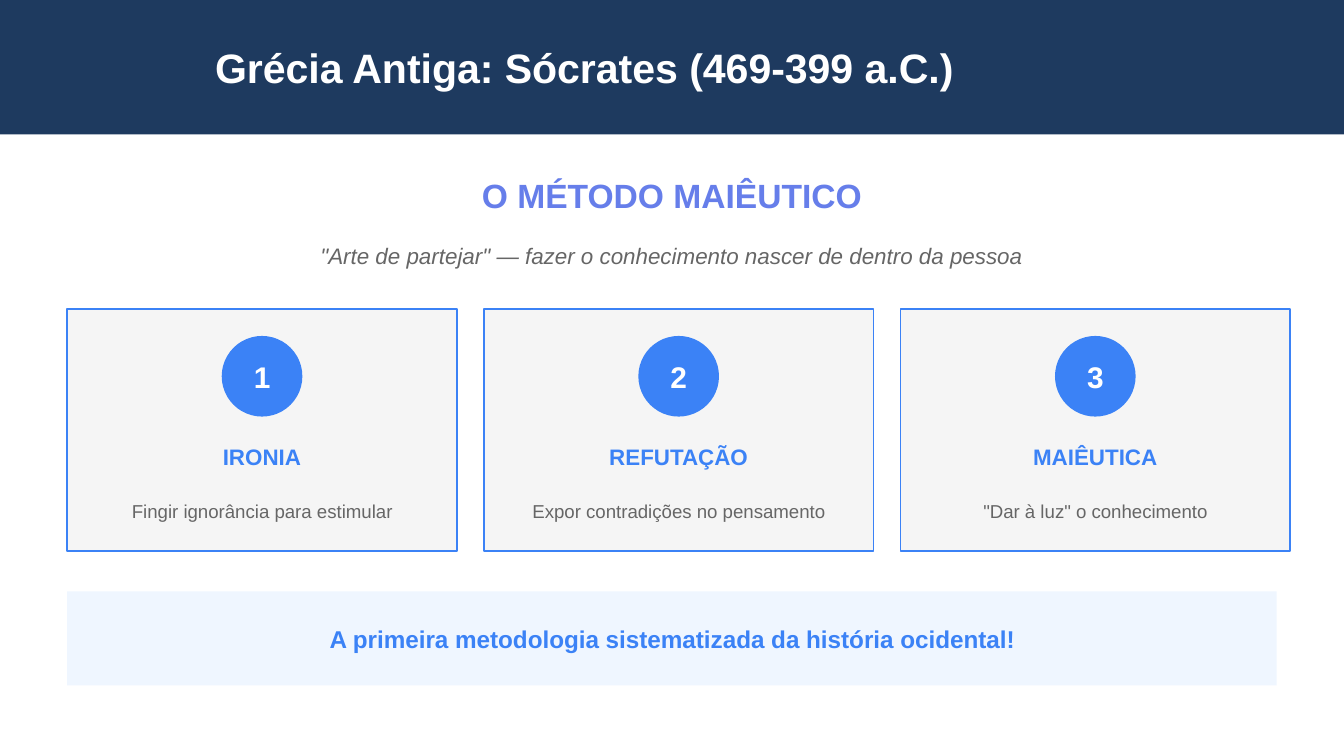
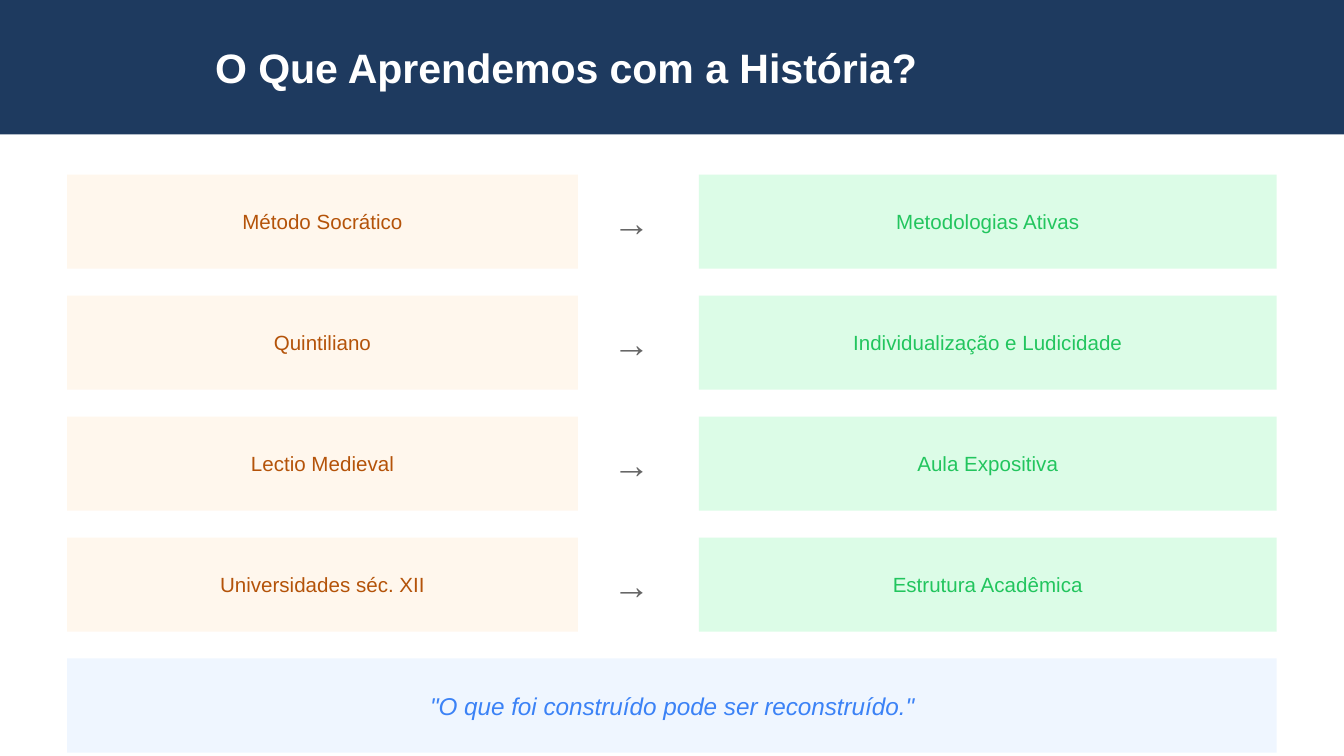
from typing import NamedTuple

from pptx import Presentation
from pptx import util as u
from pptx.dml.color import RGBColor
from pptx.enum import shapes, text

FONT = "Arial"
NAVY = RGBColor(0x1E, 0x3A, 0x5F)
BLUE = RGBColor(0x3B, 0x82, 0xF6)
INDIGO = RGBColor(0x66, 0x7E, 0xEA)
PALE_BLUE = RGBColor(0xEF, 0xF6, 0xFF)
LIGHT_GRAY = RGBColor(0xF5, 0xF5, 0xF5)
GRAY = RGBColor(0x66, 0x66, 0x66)
CREAM = RGBColor(0xFF, 0xF7, 0xED)
BROWN = RGBColor(0xB4, 0x53, 0x09)
MINT = RGBColor(0xDC, 0xFC, 0xE7)
GREEN = RGBColor(0x22, 0xC5, 0x5E)
WHITE = RGBColor(0xFF, 0xFF, 0xFF)

RECTANGLE = shapes.MSO_SHAPE.RECTANGLE
OVAL = shapes.MSO_SHAPE.OVAL
MARGIN = 0.5
CONTENT_WIDTH = 9
BOX_HEIGHT = 0.7
CARD_TOP, CARD_WIDTH, CARD_GAP = 2.3, 2.9, 0.2
ROW_TOP, ROW_STEP = 1.3, 0.9


class Box(NamedTuple):
    """Left, top, width and height in inches."""

    left: float
    top: float
    width: float
    height: float

    def lengths(self) -> list:
        """Return the four values as lengths."""
        return [u.Inches(value) for value in self]


class Step(NamedTuple):
    """One step of the Socratic method."""

    name: str
    description: str


class Lesson(NamedTuple):
    """A historical source and its present-day counterpart."""

    past: str
    present: str


STEPS = [
    Step("IRONIA", "Fingir ignorância para estimular"),
    Step("REFUTAÇÃO", "Expor contradições no pensamento"),
    Step("MAIÊUTICA", '"Dar à luz" o conhecimento'),
]
LESSONS = [
    Lesson("Método Socrático", "Metodologias Ativas"),
    Lesson("Quintiliano", "Individualização e Ludicidade"),
    Lesson("Lectio Medieval", "Aula Expositiva"),
    Lesson("Universidades séc. XII", "Estrutura Acadêmica"),
]


def write(shape, words: str, *, size: float, color: RGBColor, bold: bool = False,
          italic: bool = False, align=text.PP_ALIGN.CENTER) -> None:
    """Put formatted, vertically centred text into a shape."""
    frame = shape.text_frame
    frame.word_wrap = True
    frame.auto_size = text.MSO_AUTO_SIZE.NONE
    frame.vertical_anchor = text.MSO_ANCHOR.MIDDLE
    paragraph = frame.paragraphs[0]
    paragraph.alignment = align
    run = paragraph.add_run()
    run.text = words
    run.font.name = FONT
    run.font.size = u.Pt(size)
    run.font.bold = bold
    run.font.italic = italic
    run.font.color.rgb = color


def add_text(slide, box: Box, words: str, **formatting) -> None:
    """Add a text box with formatted text."""
    write(slide.shapes.add_textbox(*box.lengths()), words, **formatting)


def add_block(slide, box: Box, fill: RGBColor, kind=RECTANGLE, line: RGBColor | None = None):
    """Add a filled shape, outlined only when a line colour is given."""
    shape = slide.shapes.add_shape(kind, *box.lengths())
    shape.shadow.inherit = False
    shape.fill.solid()
    shape.fill.fore_color.rgb = fill
    if line is None:
        shape.line.fill.background()
    else:
        shape.line.color.rgb = line
        shape.line.width = u.Pt(1)
    return shape


def add_titled_slide(presentation, words: str):
    """Add a slide whose title sits on the navy band."""
    slide = presentation.slides.add_slide(presentation.slide_layouts.get_by_name("Title Only"))
    title = slide.shapes.title
    title.left, title.top, title.width, title.height = Box(1.5, 0.25, 8, 0.5).lengths()
    write(title, words, size=22, color=WHITE, bold=True, align=text.PP_ALIGN.LEFT)
    band = add_block(slide, Box(0, 0, 10, 1), NAVY)
    title.element.addprevious(band.element)
    return slide


def add_step(slide, index: int, step: Step) -> None:
    """Draw a numbered card for one step."""
    left = MARGIN + index * (CARD_WIDTH + CARD_GAP)
    circle_left = left + (CARD_WIDTH - 0.6) / 2
    add_block(slide, Box(left, CARD_TOP, CARD_WIDTH, 1.8), LIGHT_GRAY, line=BLUE)
    add_block(slide, Box(circle_left, CARD_TOP + 0.2, 0.6, 0.6), BLUE, OVAL)
    add_text(slide, Box(circle_left, CARD_TOP + 0.3, 0.6, 0.4), str(index + 1),
             size=16, color=WHITE, bold=True)
    add_text(slide, Box(left, CARD_TOP + 0.9, CARD_WIDTH, 0.4), step.name,
             size=12, color=BLUE, bold=True)
    add_text(slide, Box(left + 0.1, CARD_TOP + 1.3, CARD_WIDTH - 0.2, 0.4), step.description,
             size=10, color=GRAY)


def add_lesson_box(slide, box: Box, words: str, fill: RGBColor, color: RGBColor) -> None:
    """Draw one side of a lesson row."""
    add_block(slide, box, fill)
    add_text(slide, Box(box.left + 0.1, box.top + 0.15, box.width - 0.2, 0.4), words,
             size=11, color=color)


def add_lesson(slide, index: int, lesson: Lesson) -> None:
    """Draw a row leading from past to present."""
    top = ROW_TOP + index * ROW_STEP
    add_lesson_box(slide, Box(MARGIN, top, 3.8, BOX_HEIGHT), lesson.past, CREAM, BROWN)
    add_text(slide, Box(4.3, top + 0.1, 0.8, 0.5), "→", size=20, color=GRAY)
    add_lesson_box(slide, Box(5.2, top, 4.3, BOX_HEIGHT), lesson.present, MINT, GREEN)


def add_conclusion(slide, top: float, text_box: Box, words: str, **formatting) -> None:
    """Draw the pale closing band with its statement."""
    add_block(slide, Box(MARGIN, top, CONTENT_WIDTH, BOX_HEIGHT), PALE_BLUE)
    add_text(slide, text_box, words, size=13, color=BLUE, **formatting)


def build_method_slide(presentation) -> None:
    """Build the slide about the method of Socrates."""
    slide = add_titled_slide(presentation, "Grécia Antiga: Sócrates (469-399 a.C.)")
    add_text(slide, Box(MARGIN, 1.2, CONTENT_WIDTH, 0.5), "O MÉTODO MAIÊUTICO",
             size=18, color=INDIGO, bold=True)
    add_text(slide, Box(MARGIN, 1.7, CONTENT_WIDTH, 0.4),
             '"Arte de partejar" — fazer o conhecimento nascer de dentro da pessoa',
             size=12, color=GRAY, italic=True)
    for index, step in enumerate(STEPS):
        add_step(slide, index, step)
    add_conclusion(slide, 4.4, Box(0.7, 4.55, 8.6, 0.4),
                   "A primeira metodologia sistematizada da história ocidental!", bold=True)


def build_lessons_slide(presentation) -> None:
    """Build the slide about the lessons of history."""
    slide = add_titled_slide(presentation, "O Que Aprendemos com a História?")
    for index, lesson in enumerate(LESSONS):
        add_lesson(slide, index, lesson)
    add_conclusion(slide, 4.9, Box(0.7, 5, 8.6, 0.5),
                   '"O que foi construído pode ser reconstruído."', italic=True)


def main() -> None:
    """Build and save the presentation."""
    presentation = Presentation()
    presentation.slide_width = u.Inches(10)
    presentation.slide_height = u.Inches(10 * 9 / 16)
    build_method_slide(presentation)
    build_lessons_slide(presentation)
    presentation.save("out.pptx")


if __name__ == "__main__":
    main()
